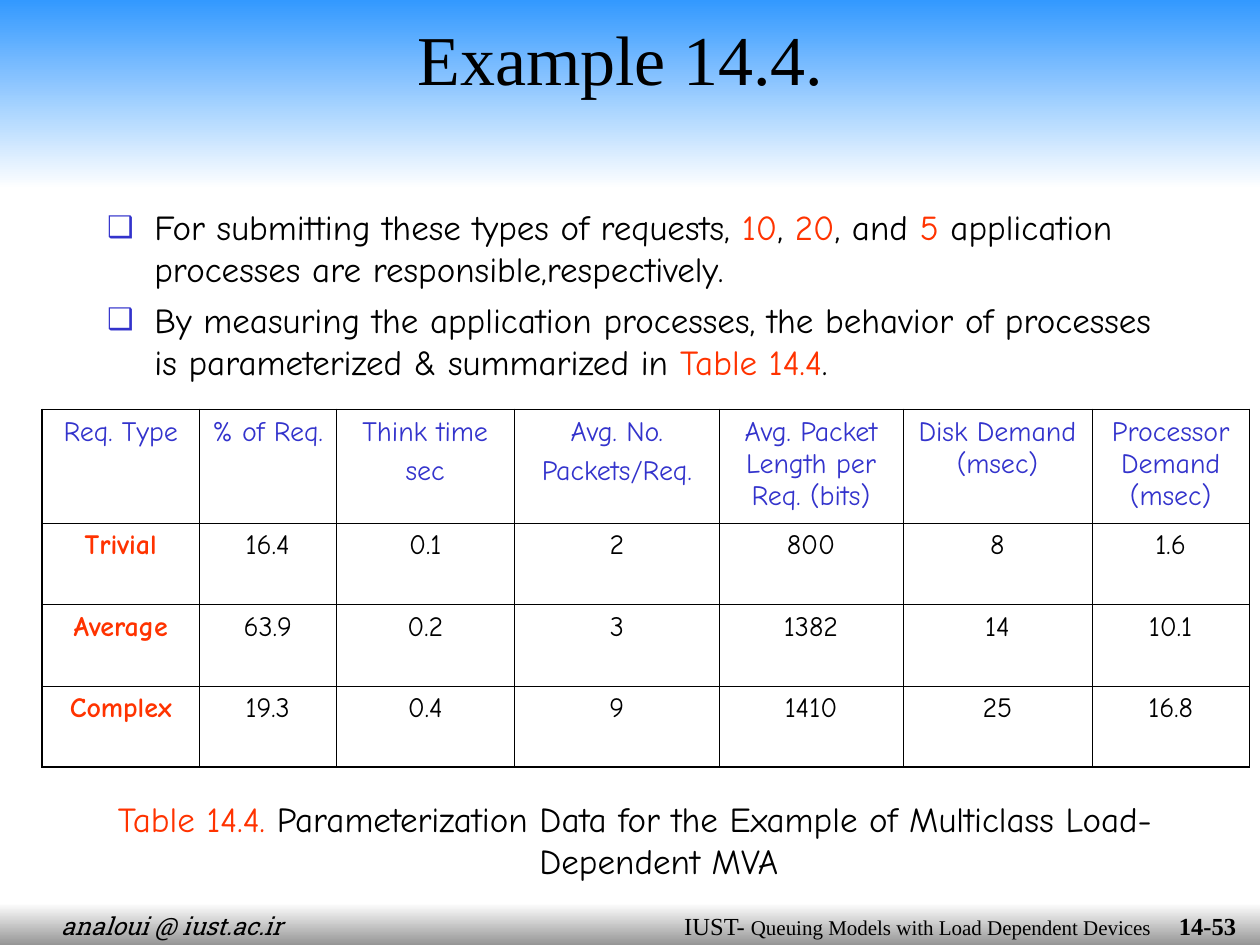
from lxml.etree import SubElement
from pptx import Presentation
from pptx.dml.color import RGBColor
from pptx.enum.shapes import MSO_SHAPE as Shape
from pptx.enum.text import MSO_ANCHOR as Anchor, MSO_AUTO_SIZE as AutoSize, PP_ALIGN as Align
from pptx.oxml.ns import qn
from pptx.util import Pt

SERIF, HAND, SLAB = "Times New Roman", "Comic Neue", "Roboto Slab"
BLACK, RED, BLUE, SKY, GREY, WHITE = "000000", "FF3300", "3333CC", "3399FF", "969696", "FFFFFF"
COLUMN_WIDTHS = [90, 78, 102, 117, 105, 108, 90]
ROW_HEIGHTS = [65, 46.5, 46.5, 46.5]
ROWS = [
    ["Req. Type", "% of Req.", "Think time\nsec", "Avg. No.\nPackets/Req.",
     "Avg. Packet Length per Req. (bits)", "Disk Demand (msec)", "Processor Demand (msec)"],
    ["Trivial", "16.4", "0.1", "2", "800", "8", "1.6"],
    ["Average", "63.9", "0.2", "3", "1382", "14", "10.1"],
    ["Complex", "19.3", "0.4", "9", "1410", "25", "16.8"],
]
BULLETS = [
    [("For submitting these types of requests, ", BLACK), ("10", RED), (", ", BLACK),
     ("20", RED), (", and ", BLACK), ("5", RED),
     (" application processes are responsible,respectively.", BLACK)],
    [("By measuring the application processes, the behavior of processes "
      "is parameterized & summarized in ", BLACK), ("Table 14.4", RED), (".", BLACK)],
]
CAPTION = [("Table 14.4.", RED),
           (" Parameterization Data for the Example of Multiclass Load-Dependent MVA", BLACK)]


def color(hex_value):
    """Turn a hex string into a colour."""
    return RGBColor.from_string(hex_value)


def apply(target, formats):
    """Set each named attribute of the target."""
    for name, value in formats.items():
        setattr(target, name, value)


def place(box, left, top, width, height):
    """Move and size a shape, in points."""
    apply(box, {"left": Pt(left), "top": Pt(top), "width": Pt(width), "height": Pt(height)})


def fill_down(box, first, last):
    """Fill a shape with a gradient that runs from top to bottom."""
    box.fill.gradient()
    box.fill.gradient_angle = 270
    for stop, hex_value in zip(box.fill.gradient_stops, (first, last)):
        stop.color.rgb = color(hex_value)


def add_span(para, text, size, font=HAND, hex_value=BLACK, **formats):
    """Add a formatted run to a paragraph."""
    span = para.add_run()
    span.text = text
    apply(span.font, {"size": Pt(size), "name": font, **formats})
    span.font.color.rgb = color(hex_value)


def add_tab(para, position):
    """Give a paragraph one left tab stop."""
    tabs = SubElement(para._p.get_or_add_pPr(), qn("a:tabLst"))
    SubElement(tabs, qn("a:tab"), pos=str(Pt(position)), algn="l")


def set_bullet(para, symbol=None):
    """Give a paragraph a hanging indent, with a blue bullet if a symbol is named."""
    props = para._p.get_or_add_pPr()
    props.set("marL", str(Pt(27)))
    props.set("indent", str(Pt(-27)))
    if symbol:
        tint = SubElement(props, qn("a:buClr"))
        SubElement(tint, qn("a:srgbClr"), val=BLUE)
        SubElement(props, qn("a:buSzPct"), val="85000")
        SubElement(props, qn("a:buChar"), char=symbol)
    else:
        SubElement(props, qn("a:buNone"))


def set_borders(cell, widths):
    """Draw the left, right, top and bottom borders of a cell."""
    props = cell._tc.get_or_add_tcPr()
    for index, (side, width) in enumerate(zip("LRTB", widths)):
        line = SubElement(props, qn(f"a:ln{side}"), w=str(Pt(width)))
        fill = SubElement(line, qn("a:solidFill"))
        SubElement(fill, qn("a:srgbClr"), val=BLACK)
        props.insert(index, line)


def add_title(page):
    """Format the title placeholder as a blue band."""
    title = page.shapes.title
    place(title, 0, 0, 720, 108)
    fill_down(title, SKY, WHITE)
    apply(title.text_frame, {"auto_size": AutoSize.NONE, "vertical_anchor": Anchor.TOP,
                             "margin_top": Pt(9), "margin_right": Pt(18)})
    para = title.text_frame.paragraphs[0]
    para.alignment = Align.CENTER
    add_span(para, "Example 14.4.", 40, SERIF)


def add_body(page):
    """Fill the body placeholder with the bullets and the table caption."""
    body = page.placeholders[1]
    place(body, 54, 114, 618, 396)
    frame = body.text_frame
    frame.auto_size = AutoSize.NONE
    items = [(BULLETS[0], "❑", 0, Align.LEFT), (BULLETS[1], "❑", 5, Align.LEFT),
             (CAPTION, None, 237, Align.CENTER)]
    for index, (spans, symbol, space, alignment) in enumerate(items):
        para = frame.add_paragraph() if index else frame.paragraphs[0]
        set_bullet(para, symbol)
        apply(para, {"space_before": Pt(space), "alignment": alignment})
        for text, hex_value in spans:
            add_span(para, text, 20, HAND, hex_value)


def add_data_table(page):
    """Add the table of request parameters."""
    last_row, last_column = len(ROWS) - 1, len(COLUMN_WIDTHS) - 1
    table = page.shapes.add_table(len(ROWS), len(COLUMN_WIDTHS), Pt(24), Pt(234),
                                  Pt(sum(COLUMN_WIDTHS)), Pt(sum(ROW_HEIGHTS))).table
    for column, width in zip(table.columns, COLUMN_WIDTHS):
        column.width = Pt(width)
    for r, (row, height) in enumerate(zip(table.rows, ROW_HEIGHTS)):
        row.height = Pt(height)
        for c, cell in enumerate(row.cells):
            cell.fill.background()
            edges = (c == 0, c == last_column, r == 0, r == last_row)
            set_borders(cell, [1.08 if outer else 0.45 for outer in edges])
            hex_value = BLUE if r == 0 else RED if c == 0 else BLACK
            for index, text in enumerate(ROWS[r][c].split("\n")):
                frame = cell.text_frame
                para = frame.add_paragraph() if index else frame.paragraphs[0]
                apply(para, {"alignment": Align.CENTER, "space_before": Pt(4 if index else 0)})
                add_span(para, text, 16, HAND, hex_value, bold=r > 0 and c == 0)


def add_footer(page, left, width, inset, alignment):
    """Add a grey footer band and return its paragraph."""
    band = page.shapes.add_shape(Shape.RECTANGLE, Pt(left), Pt(516), Pt(width), Pt(24))
    band.shadow.inherit = False
    band.line.fill.background()
    fill_down(band, WHITE, GREY)
    apply(band.text_frame, {"word_wrap": True, "vertical_anchor": Anchor.TOP,
                            "margin_left": Pt(inset), "margin_top": Pt(4.5)})
    para = band.text_frame.paragraphs[0]
    para.alignment = alignment
    return para


def main():
    """Build the slide and save it."""
    deck = Presentation()
    apply(deck, {"slide_width": Pt(720), "slide_height": Pt(540)})
    page = deck.slides.add_slide(deck.slide_layouts[1])
    add_title(page)
    add_body(page)
    add_data_table(page)
    credit = add_footer(page, 0, 693, 35, Align.LEFT)
    add_tab(credit, 356)
    add_span(credit, "analoui @ iust.ac.ir\t", 14, SLAB, italic=True)
    add_span(credit, "IUST- ", 14, SERIF)
    add_span(credit, "Queuing Models with Load Dependent Devices", 12, SERIF)
    number = add_footer(page, 660, 60, 7.2, Align.CENTER)
    add_span(number, "14-53", 14, SERIF, bold=True)
    deck.save("out.pptx")


if __name__ == "__main__":
    main()
